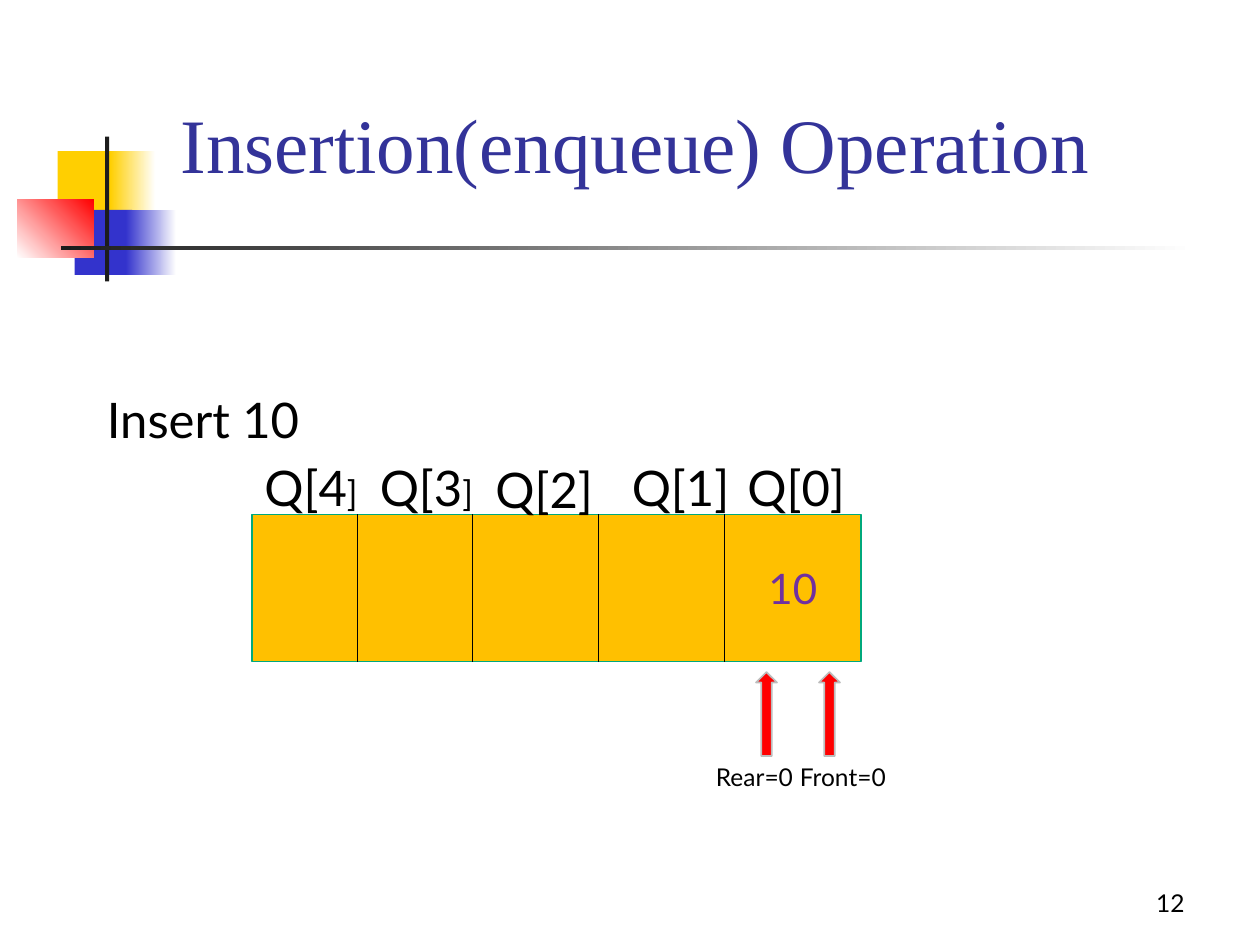
import dataclasses

import pptx
import pptx.dml.color
import pptx.enum.shapes
import pptx.enum.text
import pptx.oxml
import pptx.util

COLS, ROWS = 120, 90  # grid of twelve units to the inch
SHAPE = pptx.enum.shapes.MSO_SHAPE
ALIGN = pptx.enum.text.PP_ALIGN
ANCHOR = pptx.enum.text.MSO_ANCHOR


@dataclasses.dataclass
class Box:
    col: float
    row: float
    wide: float
    high: float


@dataclasses.dataclass
class Block:
    box: Box
    start: str
    end: str = ""
    angle: float = 0


@dataclasses.dataclass
class Label:
    box: Box
    text: str
    size: float
    hue: str = "000000"
    font: str = "Lato"
    tail: str = ""  # closing part of the text, set smaller
    align: ALIGN = ALIGN.LEFT
    anchor: ANCHOR = ANCHOR.TOP


BLOCKS = [
    Block(Box(5.5, 14.4, 5.8, 6.2), "FFCF01"),
    Block(Box(10.5, 14.4, 4.3, 6.2), "FFCF01", "FFFFFF"),
    Block(Box(7.1, 20, 5.5, 6.2), "3333CC"),
    Block(Box(12, 20, 4.8, 6.2), "3333CC", "FFFFFF"),
    Block(Box(1.65, 19, 7.3, 5.55), "FFFFFF", "FF0000", 45),
    Block(Box(10, 13, 0.4, 13.8), "1C1C1C"),
    Block(Box(5.8, 23.4, 108, 0.4), "1C1C1C", "FFFFFF"),
]
QUEUE = Box(24, 49, 58, 14)
WALLS = [34, 45, 57, 69]
ARROWS = [72, 78]
LABELS = [
    Label(Box(16, 1.6, 89, 17), "Insertion(enqueue) Operation", 44,
          "333399", "Times New Roman", anchor=ANCHOR.BOTTOM),
    Label(Box(9, 36.5, 50, 6.9), "Insert 10", 28),
    Label(Box(24, 43, 12.6, 6.9), "Q[4", 28, tail="]"),
    Label(Box(35, 43, 12, 6.9), "Q[3", 28, tail="]"),
    Label(Box(46, 43.2, 13, 6.9), "Q[2]", 28),
    Label(Box(59, 43, 13.2, 6.9), "Q[1]", 28),
    Label(Box(70, 43, 14.4, 6.9), "Q[0]", 28),
    Label(Box(72, 53, 8, 6), "10", 24, "7030A0"),
    Label(Box(67, 72, 11, 4), "Rear=0", 14),
    Label(Box(75, 72, 11, 4), "Front=0", 14),
    Label(Box(86, 82, 28, 6), "12", 14, align=ALIGN.RIGHT,
          anchor=ANCHOR.BOTTOM),
]

deck = pptx.Presentation()
deck.slide_width = pptx.util.Inches(10)
deck.slide_height = pptx.util.Inches(7.5)
slide = deck.slides.add_slide(deck.slide_layouts[6])


def tint(code: str) -> pptx.dml.color.RGBColor:
    return pptx.dml.color.RGBColor.from_string(code)


def across(col: float) -> int:
    return round(deck.slide_width * col / COLS)


def down(row: float) -> int:
    return round(deck.slide_height * row / ROWS)


def place(box: Box) -> tuple[int, int, int, int]:
    return across(box.col), down(box.row), across(box.wide), down(box.high)


def draw_shape(kind: SHAPE, box: Box, fill: str, edge: str = ""):
    shape = slide.shapes.add_shape(kind, *place(box))
    shape.shadow.inherit = False
    shape.fill.solid()
    shape.fill.fore_color.rgb = tint(fill)
    if edge:
        shape.line.color.rgb = tint(edge)
        shape.line.width = pptx.util.Pt(1)
    else:
        shape.line.fill.background()
    return shape


def draw_block(block: Block) -> None:
    shape = draw_shape(SHAPE.RECTANGLE, block.box, block.start)
    if block.end:
        shape.fill.gradient()
        shape.fill.gradient_angle = block.angle
        for stop, hue in zip(shape.fill.gradient_stops,
                             (block.start, block.end)):
            stop.color.rgb = tint(hue)


def draw_wall(col: float) -> None:
    """Divide two cells of the queue."""
    wall = slide.shapes.add_connector(
        pptx.enum.shapes.MSO_CONNECTOR.STRAIGHT,
        across(col), down(QUEUE.row),
        across(col), down(QUEUE.row + QUEUE.high))
    wall.line.color.rgb = tint("000000")
    wall.line.width = pptx.util.Pt(0.5)
    props = wall.element.spPr
    props.append(props.makeelement(pptx.oxml.ns.qn("a:effectLst"), {}))


def draw_label(label: Label) -> None:
    frame = slide.shapes.add_textbox(*place(label.box)).text_frame
    frame.word_wrap = True
    frame.vertical_anchor = label.anchor
    frame.text = label.text
    line = frame.paragraphs[0]
    line.alignment = label.align
    if label.tail:
        line.add_run().text = label.tail
    for run, size in zip(line.runs, (label.size, 20)):
        run.font.name = label.font
        run.font.size = pptx.util.Pt(size)
        run.font.color.rgb = tint(label.hue)


def main() -> None:
    for block in BLOCKS:
        draw_block(block)
    draw_shape(SHAPE.RECTANGLE, QUEUE, "FFC000", "00A97C")
    for col in WALLS:
        draw_wall(col)
    for col in ARROWS:
        draw_shape(SHAPE.UP_ARROW, Box(col, 64, 2, 8), "FF0000", "BDBDBD")
    for label in LABELS:
        draw_label(label)
    deck.save("out.pptx")


if __name__ == "__main__":
    main()
